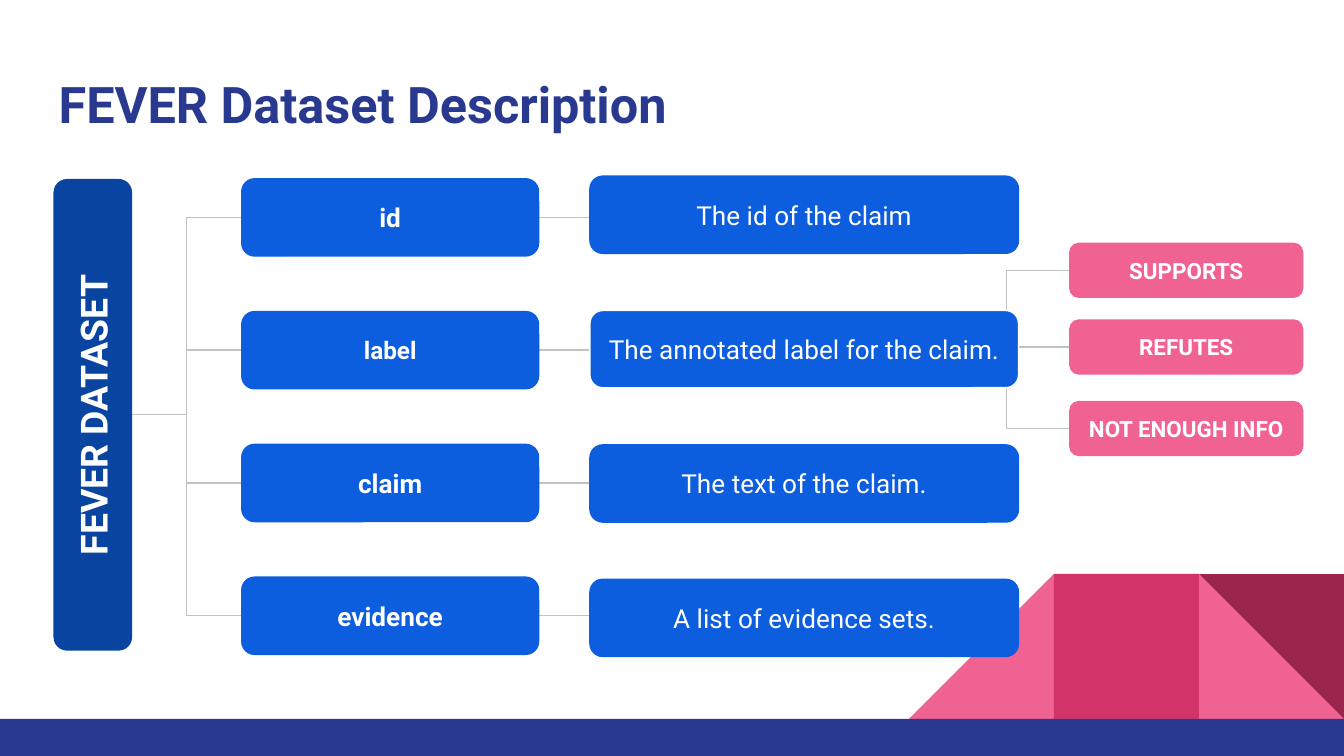
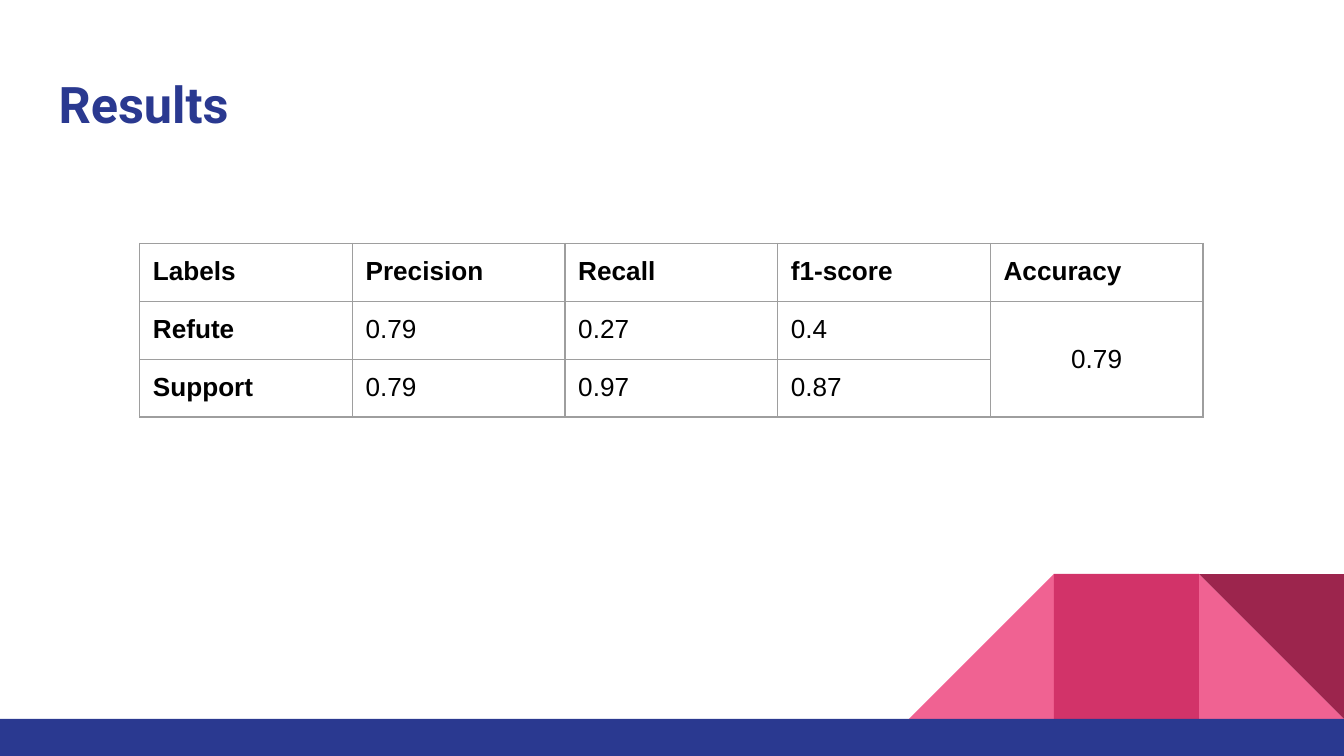
from lxml import etree
from pptx import Presentation
from pptx.dml.color import RGBColor
from pptx.enum.shapes import MSO_CONNECTOR, MSO_SHAPE
from pptx.enum.text import MSO_ANCHOR, PP_ALIGN
from pptx.oxml.ns import qn
from pptx.util import Cm, Pt

RECT = MSO_SHAPE.RECTANGLE
ROUND = MSO_SHAPE.ROUNDED_RECTANGLE
WEDGE = MSO_SHAPE.RIGHT_TRIANGLE
LINE = MSO_CONNECTOR.STRAIGHT
ELBOW = MSO_CONNECTOR.ELBOW
MIDDLE = MSO_ANCHOR.MIDDLE
TOP = MSO_ANCHOR.TOP
LEFT = PP_ALIGN.LEFT
CENTER = PP_ALIGN.CENTER

WIDE, HIGH = 25.4, 14.29
NAVY, DEEP, BLUE = "2A3990", "0944A1", "0D5DDF"
PINK, ROSE, WINE = "F06292", "D23369", "9C254D"
WHITE, BLACK, PALE, GREY = "FFFFFF", "000000", "C2C2C2", "9E9E9E"
PAD = 0.25


def tint(code):
    return RGBColor.from_string(code)


class Deck:
    font = "Roboto"
    thin = Pt(0.75)

    def __init__(self):
        self.show = Presentation()
        self.show.slide_width = Cm(WIDE)
        self.show.slide_height = Cm(HIGH)
        self.slide = None

    def page(self, title):
        self.slide = self.show.slides.add_slide(self.show.slide_layouts[6])
        side, base = 2.74, 13.59
        left, mid, right = (WIDE - n * side for n in (3, 2, 1))
        top = base - side
        self.shape(WEDGE, right, top, side, side, PINK)
        ramp = self.shape(WEDGE, left, top, side, side, PINK)
        ramp._element.spPr.find(qn("a:xfrm")).set("flipH", "1")
        self.shape(RECT, mid, top, side, side, ROSE)
        self.shape(WEDGE, right, top, side, side, WINE).rotation = 180
        self.shape(RECT, 0, base, WIDE, HIGH - base, NAVY)
        head = self.slide.shapes.add_textbox(Cm(0.86), Cm(1.14), Cm(23.67), Cm(1.68))
        self.label(head.text_frame, title, 27, NAVY, True)

    def shape(self, kind, left, top, width, height, fill, edge=None):
        item = self.slide.shapes.add_shape(kind, Cm(left), Cm(top), Cm(width), Cm(height))
        item.shadow.inherit = False
        item.fill.solid()
        item.fill.fore_color.rgb = tint(fill)
        if edge:
            item.line.color.rgb = tint(edge)
            item.line.width = self.thin
        else:
            item.line.fill.background()
        return item

    def label(self, frame, text, size, color, bold, align=LEFT, anchor=TOP):
        frame.word_wrap = True
        frame.vertical_anchor = anchor
        frame.margin_left = frame.margin_right = Cm(PAD)
        frame.margin_top = frame.margin_bottom = Cm(PAD)
        frame.text = text
        self.style(frame.paragraphs[0], self.font, size, color, bold, align)

    def style(self, para, font, size, color, bold, align):
        para.alignment = align
        for run in para.runs:
            run.font.name = font
            run.font.size = Pt(size)
            run.font.bold = bold
            run.font.color.rgb = tint(color)

    def box(self, text, left, top, width, height, fill, size, bold=True, edge=None):
        item = self.shape(ROUND, left, top, width, height, fill, edge or fill)
        self.label(item.text_frame, text, size, WHITE, bold, CENTER, MIDDLE)
        return item

    def link(self, x1, y1, x2, y2, kind=LINE):
        item = self.slide.shapes.add_connector(kind, Cm(x1), Cm(y1), Cm(x2), Cm(y2))
        item.line.color.rgb = tint(PALE)
        item.line.width = self.thin
        etree.SubElement(item._element.spPr, qn("a:effectLst"))
        return item

    def bend(self, x1, y1, x2, y2):
        item = self.link(x1, y1, x2, y2, ELBOW)
        item._element.spPr.find(qn("a:prstGeom")).set("prst", "bentConnector2")

    def grid(self, rows, left, top, width, height):
        count = len(rows[0])
        table = self.slide.shapes.add_table(
            len(rows), count, Cm(left), Cm(top), Cm(width * count), Cm(height * len(rows))
        ).table
        table.first_row = table.horz_banding = False
        for col in table.columns:
            col.width = Cm(width)
        for r, row in enumerate(rows):
            table.rows[r].height = Cm(height)
            for c, text in enumerate(row):
                cell = table.cell(r, c)
                cell.text = text
                cell.margin_left = cell.margin_right = Cm(PAD)
                cell.margin_top = cell.margin_bottom = Cm(PAD)
                self.style(cell.text_frame.paragraphs[0], "Arial", 14, BLACK, 0 in (r, c), LEFT)
                self.frame(cell)
                cell.fill.background()
        return table

    def frame(self, cell):
        props = cell._tc.get_or_add_tcPr()
        for side in ("a:lnL", "a:lnR", "a:lnT", "a:lnB"):
            edge = etree.SubElement(props, qn(side), w=str(int(self.thin)))
            fill = etree.SubElement(edge, qn("a:solidFill"))
            etree.SubElement(fill, qn("a:srgbClr"), val=GREY)


def draw_tree(deck):
    deck.page("FEVER Dataset Description")
    fields = [
        ("id", 14, "The id of the claim", BLUE),
        ("label", 13, "The annotated label for the claim.", WHITE),
        ("claim", 14, "The text of the claim.", BLUE),
        ("evidence", 14, "A list of evidence sets.", BLUE),
    ]
    tags = [("SUPPORTS", 4.6), ("REFUTES", 6.05), ("NOT ENOUGH INFO", 7.59)]
    tall, short = 1.46, 1.02
    root, trunk, mid = 2.48, 3.53, 7.84
    key, key_w = 4.57, 5.61
    note, note_w = 11.15, 8.1
    tag, tag_w, fork = 20.22, 4.4, 19.02
    joints = (5.33, 10.39)

    for joint in joints:
        deck.bend(root, mid, trunk, joint)
    for n, (name, size, text, edge) in enumerate(fields):
        top = 3.38 + 2.51 * n
        row = top + tall / 2
        deck.bend(key, row, trunk, joints[n // 2])
        deck.link(key + key_w, row, note, row)
        if name == "label":
            for word, high in tags:
                level = high + short / 2
                if word == "REFUTES":
                    deck.link(note + note_w, level, tag, level)
                else:
                    deck.bend(tag, level, fork, row)
        deck.box(name, key, top, key_w, tall, BLUE, size)
        deck.box(text, note, 3.33 + 2.54 * n, note_w, tall, BLUE, 14, False, edge)
    deck.box("FEVER DATASET", -2.69, 7.11, 8.89, tall, DEEP, 20).rotation = 270
    for word, high in tags:
        deck.box(word, tag, high, tag_w, short, PINK, 12)


def draw_scores(deck):
    deck.page("Results")
    rows = [
        ["Labels", "Precision", "Recall", "f1-score", "Accuracy"],
        ["Refute", "0.79", "0.27", "0.4", "0.79"],
        ["Support", "0.79", "0.97", "0.87", ""],
    ]
    table = deck.grid(rows, 2.64, 4.6, 4.02, 1.07)
    total = table.cell(1, 4)
    total.merge(table.cell(2, 4))
    total.vertical_anchor = MIDDLE
    total.text_frame.paragraphs[0].alignment = CENTER


def main():
    deck = Deck()
    draw_tree(deck)
    draw_scores(deck)
    deck.show.save("out.pptx")


if __name__ == "__main__":
    main()
